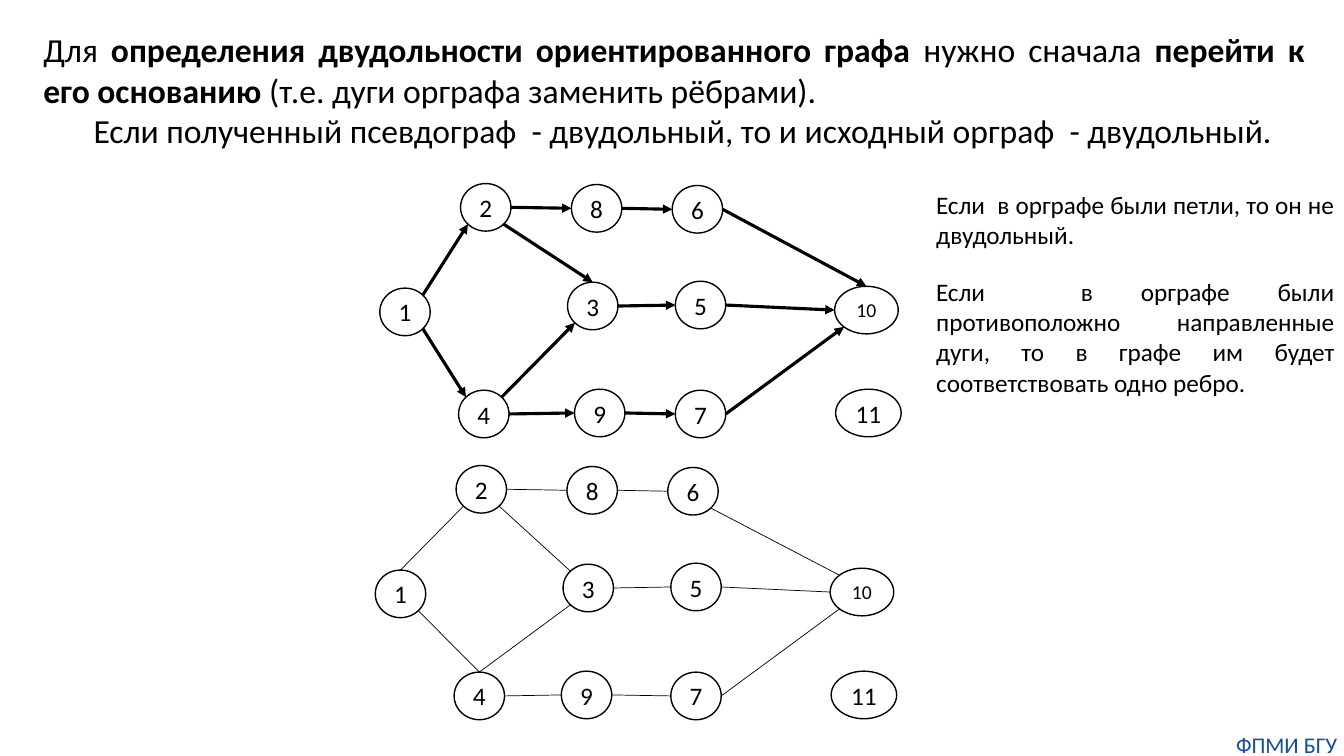
from dataclasses import dataclass, replace
from math import sqrt

from lxml import etree
from pptx import Presentation
from pptx.dml.color import RGBColor
from pptx.enum.shapes import MSO_CONNECTOR, MSO_SHAPE
from pptx.enum.text import MSO_ANCHOR, PP_ALIGN
from pptx.oxml.ns import qn
from pptx.util import Pt

CENTER, JUSTIFY = PP_ALIGN.CENTER, PP_ALIGN.JUSTIFY
MIDDLE = MSO_ANCHOR.MIDDLE
OVAL, STRAIGHT = MSO_SHAPE.OVAL, MSO_CONNECTOR.STRAIGHT
FONT, BLACK, BLUE = "Calibri", "000000", "144E9D"
NODE_HEIGHT = 34

# Points on a node outline: direction from its centre
D = 1 / sqrt(2)
SITES = {"t": (0, -1), "l": (-1, 0), "r": (1, 0),
         "tl": (-D, -D), "tr": (D, -D), "bl": (-D, D), "br": (D, D)}


@dataclass
class Node:
    label: str
    left: float
    top: float
    width: float = 36
    size: int = 18

    def site(self, name: str) -> tuple[float, float]:
        dx, dy = SITES[name]
        return (self.left + self.width / 2 * (1 + dx),
                self.top + NODE_HEIGHT / 2 * (1 + dy))


@dataclass
class Edge:
    start: str
    end: str
    start_site: str = "r"
    end_site: str = "l"


@dataclass
class Note:
    text: str
    left: float
    top: float
    width: float
    height: float
    size: int = 18
    color: str = BLACK
    align: PP_ALIGN = JUSTIFY
    inset: bool = True


NODES = [
    Node("1", 271.3, 205.8), Node("2", 329, 131.1), Node("3", 405.4, 201.6),
    Node("4", 327.6, 278.7), Node("5", 482.4, 200.9), Node("6", 480.2, 132.5),
    Node("7", 482.4, 278.7), Node("8", 408.2, 131.8), Node("9", 410.4, 278),
    Node("10", 596.2, 204.5, 45.4, 14), Node("11", 596.9, 278, 46.8),
]
COMMON_EDGES = [
    Edge("2", "8"), Edge("8", "6"), Edge("3", "5"), Edge("5", "10"),
    Edge("4", "9"), Edge("9", "7"), Edge("7", "10", "r", "bl"),
]
ARCS = COMMON_EDGES + [
    Edge("1", "2", "tr", "bl"), Edge("1", "4", "br", "tl"),
    Edge("2", "3", "br", "t"), Edge("4", "3", "tr", "bl"),
    Edge("6", "10", "r", "t"),
]
BASE_EDGES = COMMON_EDGES + [
    Edge("1", "2", "t", "bl"), Edge("1", "4", "br", "t"),
    Edge("2", "3", "br", "tl"), Edge("4", "3", "t", "bl"),
    Edge("6", "10", "br", "tl"),
]
# The base graph repeats the layout lower down, with node 9 further left
SHIFT_X, SHIFT_Y = -3.2, 201.4
BASE_LEFT = {"9": 401}
BASE_NODES = [replace(n, left=BASE_LEFT.get(n.label, n.left + SHIFT_X),
                      top=n.top + SHIFT_Y) for n in NODES]

NOTES = [
    Note("Если  в орграфе были петли, то он не двудольный.",
         661.7, 131.8, 298.6, 50.9),
    Note("Если  в орграфе были противоположно направленные дуги, "
         "то в графе им будет соответствовать одно ребро.",
         661.7, 193.7, 298.6, 94.5),
    Note("ФПМИ БГУ", 878.4, 522, 81.4, 19.4, 16, BLUE, CENTER, False),
]
# Introduction: (text, bold)
RULE = [
    ("Для ", False),
    ("определения двудольности ориентированного графа ", True),
    ("нужно сначала ", False),
    ("перейти к его основанию ", True),
    ("(т.е. дуги орграфа заменить рёбрами).", False),
]
CONCLUSION = ("Если полученный псевдограф  - двудольный, "
              "то и исходный орграф  - двудольный.")


def rgb(color: str) -> RGBColor:
    return RGBColor.from_string(color)


def style(p, size: int, align: PP_ALIGN, color: str = BLACK) -> None:
    p.alignment = align
    p.font.name, p.font.size = FONT, Pt(size)
    p.font.color.rgb = rgb(color)


def add_text_frame(s, left: float, top: float, width: float, height: float):
    box = s.shapes.add_textbox(Pt(left), Pt(top), Pt(width), Pt(height))
    box.text_frame.word_wrap = True
    return box.text_frame


def clear_insets(tf) -> None:
    tf.margin_left = tf.margin_right = tf.margin_top = tf.margin_bottom = 0


def draw_note(s, note: Note) -> None:
    tf = add_text_frame(s, note.left, note.top, note.width, note.height)
    if not note.inset:
        clear_insets(tf)
    p = tf.paragraphs[0]
    p.text = note.text
    style(p, note.size, note.align, note.color)


def draw_node(s, node: Node) -> None:
    sp = s.shapes.add_shape(OVAL, Pt(node.left), Pt(node.top),
                            Pt(node.width), Pt(NODE_HEIGHT))
    sp.shadow.inherit = False
    sp.fill.background()
    sp.line.color.rgb = rgb(BLACK)
    sp.line.width = Pt(1)
    tf = sp.text_frame
    clear_insets(tf)
    tf.vertical_anchor = MIDDLE
    p = tf.paragraphs[0]
    p.text = node.label
    style(p, node.size, CENTER)


def draw_graph(s, nodes: list[Node], edges: list[Edge],
               weight: float, arrows: bool) -> None:
    by_label = {n.label: n for n in nodes}
    for node in nodes:
        draw_node(s, node)
    for edge in edges:
        x1, y1 = by_label[edge.start].site(edge.start_site)
        x2, y2 = by_label[edge.end].site(edge.end_site)
        cxn = s.shapes.add_connector(STRAIGHT, Pt(x1), Pt(y1), Pt(x2), Pt(y2))
        cxn.line.color.rgb = rgb(BLACK)
        cxn.line.width = Pt(weight)
        if arrows:
            etree.SubElement(cxn.line._get_or_add_ln(), qn("a:tailEnd"),
                             type="triangle")
        etree.SubElement(cxn._element.spPr, qn("a:effectLst"))


def draw_introduction(s) -> None:
    tf = add_text_frame(s, 23.8, 17.3, 915.1, 94.3)
    p = tf.paragraphs[0]
    for text, bold in RULE:
        r = p.add_run()
        r.text = text
        r.font.bold = bold
    style(p, 24, JUSTIFY)
    p = tf.add_paragraph()
    p.text = CONCLUSION
    p._p.get_or_add_pPr().set("marL", str(Pt(36)))
    style(p, 24, JUSTIFY)


def main() -> None:
    prs = Presentation()
    prs.slide_width, prs.slide_height = Pt(960), Pt(540)
    s = prs.slides.add_slide(prs.slide_layouts[6])

    # Directed graph above, its undirected base below
    draw_graph(s, NODES, ARCS, 2.25, True)
    draw_graph(s, BASE_NODES, BASE_EDGES, 0.5, False)

    # Introduction, side notes and footer
    draw_introduction(s)
    for note in NOTES:
        draw_note(s, note)

    prs.save("out.pptx")


if __name__ == "__main__":
    main()
